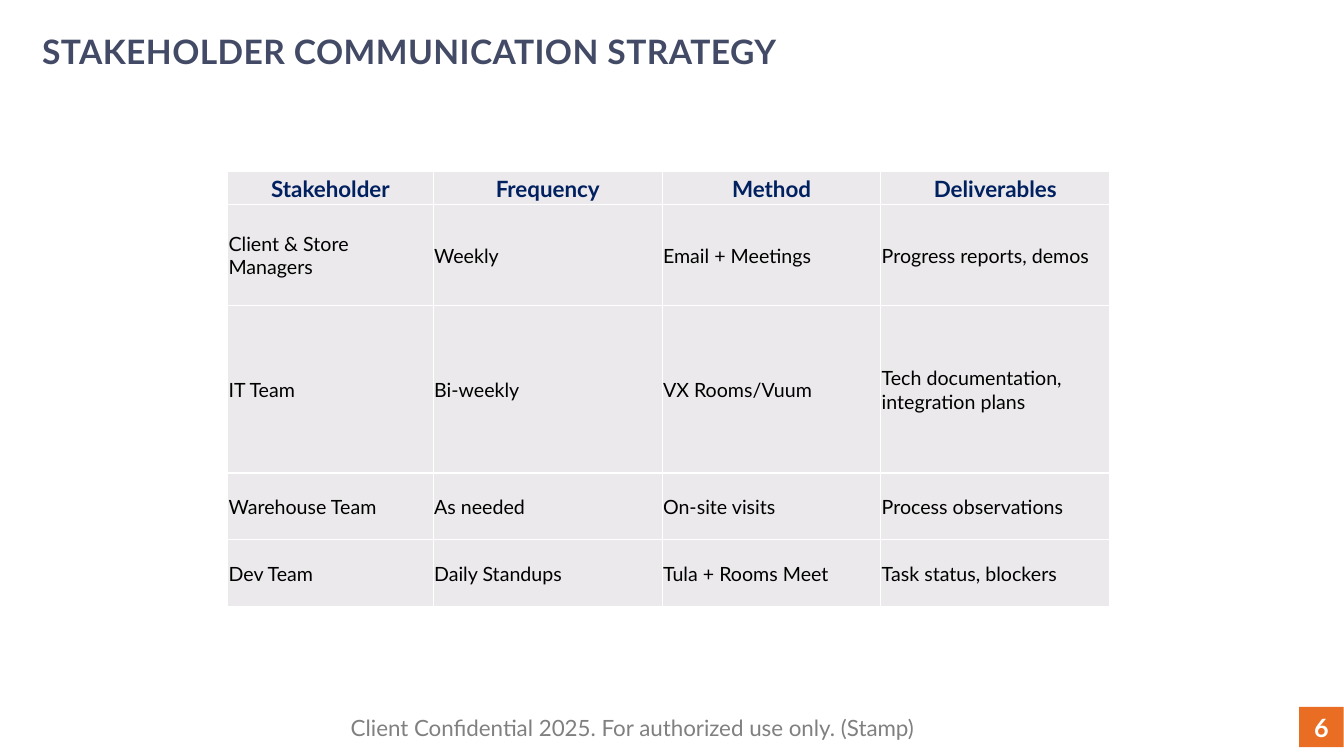
from dataclasses import dataclass

from lxml.etree import SubElement
from pptx import Presentation
from pptx.dml.color import RGBColor
from pptx.enum.shapes import MSO_SHAPE as Preset
from pptx.enum.text import MSO_ANCHOR as Anchor, PP_ALIGN as Align
from pptx.oxml import parse_xml
from pptx.oxml.ns import nsdecls, qn
from pptx.slide import Slide
from pptx.table import _Cell as Cell
from pptx.text.text import TextFrame
from pptx.util import Cm, Pt

SLATE = RGBColor(0x42, 0x4A, 0x66)
NAVY = RGBColor(0x00, 0x20, 0x60)
ORANGE = RGBColor(0xE9, 0x6E, 0x23)
GREY = RGBColor(0x80, 0x80, 0x80)
PALE = RGBColor(0xEB, 0xE9, 0xEB)
WHITE = RGBColor(0xFF, 0xFF, 0xFF)
BLACK = RGBColor(0x00, 0x00, 0x00)
FONT = "Lato"


@dataclass(frozen=True)
class Style:
    size: int
    color: RGBColor
    bold: bool = False
    align: Align = Align.LEFT
    anchor: Anchor = Anchor.MIDDLE
    spacing: float = 0


@dataclass(frozen=True)
class Label:
    text: str
    left: float
    top: float
    width: float
    height: float
    style: Style
    fill: RGBColor | None = None


HEADER = Style(16, NAVY, bold=True, align=Align.CENTER)
BODY = Style(14, BLACK)

LABELS = [
    Label("STAKEHOLDER COMMUNICATION STRATEGY", 0.81, 0.66, 33.06, 1.17,
          Style(24, SLATE, bold=True, anchor=Anchor.TOP, spacing=0.3)),
    Label("6", 32.74, 17.81, 1.12, 1.02,
          Style(18, WHITE, bold=True, align=Align.CENTER), ORANGE),
    Label("Client Confidential 2025. For authorized use only. (Stamp)",
          8.59, 17.83, 16.51, 1.02, Style(16, GREY)),
]

COLUMN_WIDTHS = [5.18, 5.77, 5.51, 5.77]
ROW_HEIGHTS = [0.84, 2.54, 4.22, 1.68, 1.68]
PLAN = [
    ["Stakeholder", "Frequency", "Method", "Deliverables"],
    ["Client & Store Managers", "Weekly", "Email + Meetings", "Progress reports, demos"],
    ["IT Team", "Bi-weekly", "VX Rooms/Vuum", "Tech documentation, integration plans"],
    ["Warehouse Team", "As needed", "On-site visits", "Process observations"],
    ["Dev Team", "Daily Standups", "Tula + Rooms Meet", "Task status, blockers"],
]


def write(frame: TextFrame, text: str, style: Style) -> None:
    frame.text = text
    frame.word_wrap = True
    para = frame.paragraphs[0]
    para.alignment = style.align
    span = para.runs[0]
    span.font.name = FONT
    span.font.size = Pt(style.size)
    span.font.bold = style.bold
    span.font.color.rgb = style.color
    if style.spacing:
        span._r.get_or_add_rPr().set("spc", str(round(style.spacing * 100)))


def add_label(page: Slide, label: Label) -> None:
    place = [Cm(length) for length in (label.left, label.top, label.width, label.height)]
    if label.fill is None:
        box = page.shapes.add_textbox(*place)
    else:
        box = page.shapes.add_shape(Preset.RECTANGLE, *place)
        box.shadow.inherit = False
        box.fill.solid()
        box.fill.fore_color.rgb = label.fill
        box.line.fill.background()
    write(box.text_frame, label.text, label.style)
    box.text_frame.vertical_anchor = label.style.anchor


def add_borders(cell: Cell) -> None:
    properties = cell._tc.get_or_add_tcPr()
    for position, side in enumerate(("lnL", "lnR", "lnT", "lnB")):
        border = parse_xml(f'<a:{side} {nsdecls("a")} w="{Pt(1)}"/>')
        fill = SubElement(border, qn("a:solidFill"))
        SubElement(fill, qn("a:srgbClr"), val=str(WHITE))
        properties.insert(position, border)


def fill_cell(cell: Cell, text: str, style: Style) -> None:
    cell.margin_left = cell.margin_right = cell.margin_top = Cm(0.02)
    cell.margin_bottom = Cm(0)
    cell.vertical_anchor = style.anchor
    cell.fill.solid()
    cell.fill.fore_color.rgb = PALE
    add_borders(cell)
    write(cell.text_frame, text, style)


def add_plan(page: Slide) -> None:
    table = page.shapes.add_table(
        len(ROW_HEIGHTS), len(COLUMN_WIDTHS), Cm(5.74), Cm(4.32),
        Cm(sum(COLUMN_WIDTHS)), Cm(sum(ROW_HEIGHTS))).table
    for column, width in zip(table.columns, COLUMN_WIDTHS):
        column.width = Cm(width)
    for index, (row, height) in enumerate(zip(table.rows, ROW_HEIGHTS)):
        row.height = Cm(height)
        for cell, text in zip(row.cells, PLAN[index]):
            fill_cell(cell, text, BODY if index else HEADER)


def main() -> None:
    deck = Presentation()
    deck.slide_width, deck.slide_height = Cm(33.87), Cm(19.05)
    page = deck.slides.add_slide(deck.slide_layouts[6])
    add_plan(page)
    for label in LABELS:
        add_label(page, label)
    deck.save("out.pptx")


if __name__ == "__main__":
    main()
